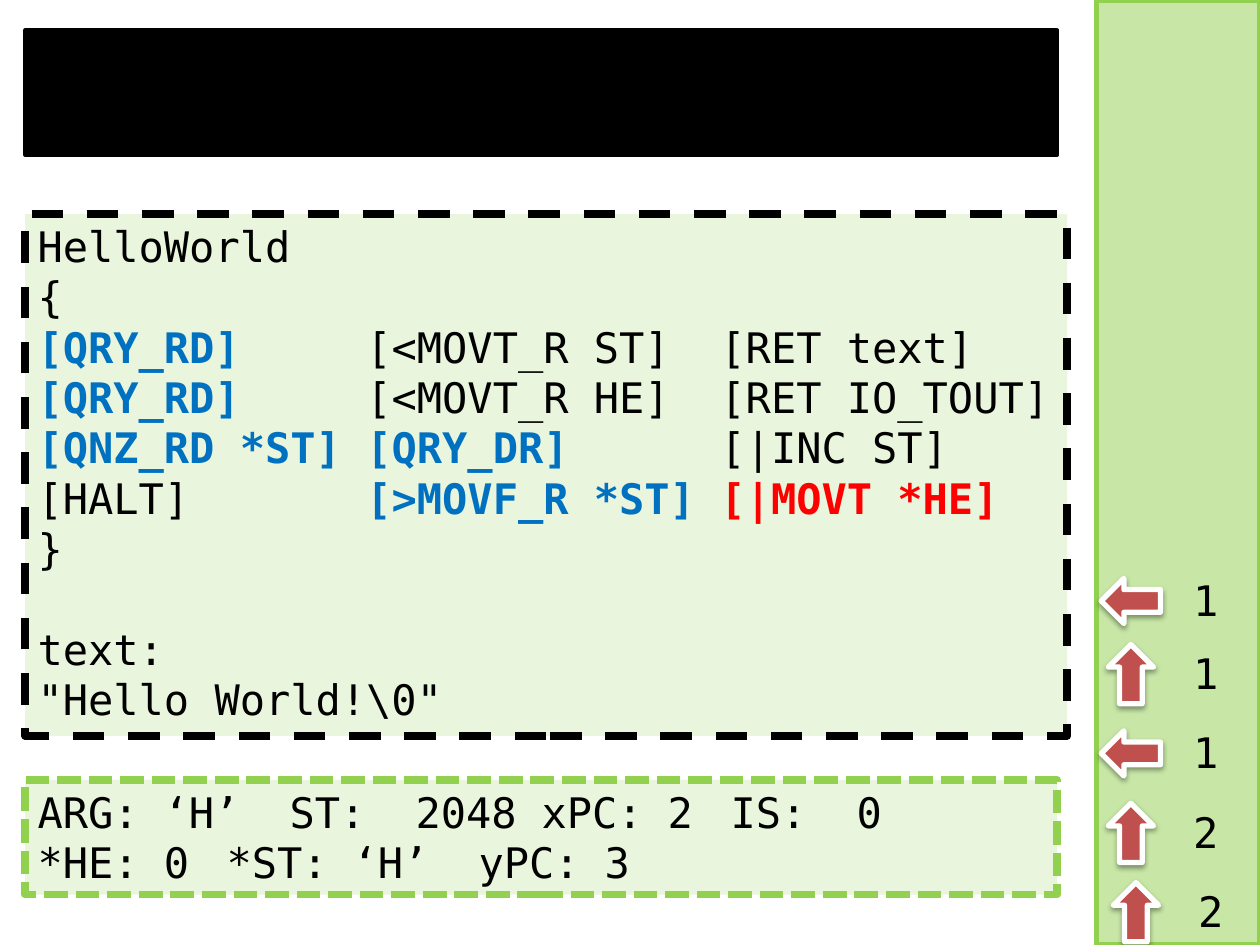
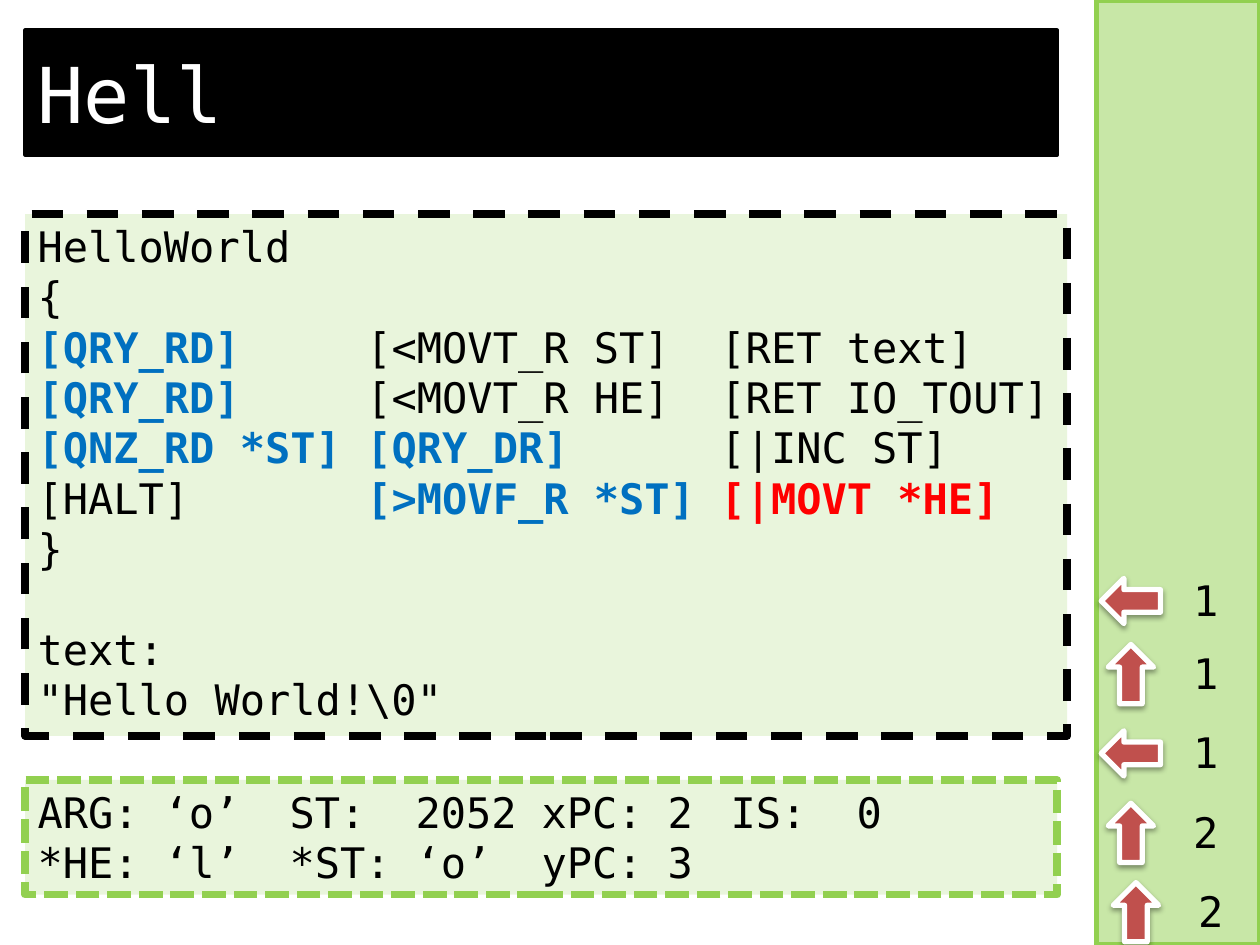
"""Builds two slides tracing a small program: output, code, registers and direction stack."""
from dataclasses import dataclass
from typing import Optional

from lxml import etree
from pptx import Presentation
from pptx.dml.color import RGBColor
from pptx.enum.dml import MSO_LINE
from pptx.enum.shapes import MSO_SHAPE
from pptx.enum.text import MSO_ANCHOR, MSO_AUTO_SIZE, PP_ALIGN
from pptx.oxml.ns import qn
from pptx.util import Inches, Pt

RECT, ARROW = MSO_SHAPE.RECTANGLE, MSO_SHAPE.LEFT_ARROW
DASH, SHORT_DASH = MSO_LINE.DASH, MSO_LINE.SQUARE_DOT
TOP, MIDDLE = MSO_ANCHOR.TOP, MSO_ANCHOR.MIDDLE
GROW, LEFT = MSO_AUTO_SIZE.SHAPE_TO_FIT_TEXT, PP_ALIGN.LEFT


@dataclass(frozen=True)
class Theme:
    """Colours, font and type sizes of the deck."""
    font: str = "DejaVu Sans Mono"
    body: float = 24
    title: float = 44
    line_height: float = 28.8
    black: str = "000000"
    white: str = "FFFFFF"
    green: str = "92D050"
    blue: str = "0070C0"
    red: str = "FF0000"
    arrow: str = "C0504D"


@dataclass(frozen=True)
class Box:
    """A rectangle with its place in inches and its look."""
    left: float
    top: float
    width: float
    height: float
    fill: str
    line: str
    weight: float
    opacity: int = 100
    dash: Optional[MSO_LINE] = None


@dataclass(frozen=True)
class Span:
    """A piece of text in one style."""
    text: str
    color: str = "000000"
    bold: bool = False


@dataclass(frozen=True)
class StackEntry:
    """A direction arrow with its repeat count."""
    left: float
    top: float
    up: bool
    count: str


@dataclass(frozen=True)
class State:
    """What one slide shows: the output so far and the register rows."""
    output: str
    registers: tuple[str, ...]


T = Theme()
OUTPUT = Box(0.2, 0.24, 8.19, 0.99, T.black, T.black, 2)
CODE = Box(0.2, 1.7, 8.27, 4.14, T.green, T.black, 4.5, 20, DASH)
REGISTERS = Box(0.2, 6.19, 8.19, 0.91, T.green, T.green, 4.5, 20, SHORT_DASH)
STACK = Box(8.7, 0, 1.3, 7.5, T.green, T.green, 3, 50)
CODE_TABS = (2.61, 5.42)


def blue(text: str) -> Span:
    """Return an instruction that has been run."""
    return Span(text, T.blue, True)


CODE_LINES = (
    (Span("HelloWorld"),),
    (Span("{"),),
    (blue("[QRY_RD]"), Span("\t[<MOVT_R ST]\t[RET text]")),
    (blue("[QRY_RD]"), Span("\t[<MOVT_R HE]\t[RET IO_TOUT]")),
    (blue("[QNZ_RD *ST]\t[QRY_DR]"), Span("\t[|INC ST]")),
    (Span("[HALT]\t"), blue("[>MOVF_R *ST]\t"), Span("[|MOVT *HE]", T.red, True)),
    (Span("}"),),
    (Span("text:"),),
    (Span('"Hello World!\\0"'),),
)
DATA_LINE = 7

ENTRIES = (
    StackEntry(8.74, 4.51, False, "1"),
    StackEntry(8.74, 5.09, True, "1"),
    StackEntry(8.74, 5.72, False, "1"),
    StackEntry(8.74, 6.35, True, "2"),
    StackEntry(8.78, 6.98, True, "2"),
)

STATES = (
    State("", ("ARG:\t‘H’\tST:\t2048\txPC:\t2\tIS:\t0", "*HE: 0\t*ST:\t‘H’\tyPC:\t3")),
    State("Hell", ("ARG:\t‘o’\tST:\t2052\txPC:\t2\tIS:\t0", "*HE: ‘l’\t*ST:\t‘o’\tyPC:\t3")),
)


def style_shape(s, fill: str, line: str, weight: float) -> None:
    """Give a shape a plain fill and outline without a shadow."""
    s.shadow.inherit = False
    s.fill.solid()
    s.fill.fore_color.rgb = RGBColor.from_string(fill)
    s.line.color.rgb = RGBColor.from_string(line)
    s.line.width = Pt(weight)


def add_box(shapes, box: Box):
    """Draw a box and return its shape."""
    s = shapes.add_shape(RECT, Inches(box.left), Inches(box.top),
                         Inches(box.width), Inches(box.height))
    style_shape(s, box.fill, box.line, box.weight)
    if box.dash is not None:
        s.line.dash_style = box.dash
    if box.opacity < 100:
        color = s._element.spPr.find(qn("a:solidFill")).find(qn("a:srgbClr"))
        etree.SubElement(color, qn("a:alpha"), val=str(box.opacity * 1000))
    return s


def add_run(p, span: Span, size: float) -> None:
    """Add one styled run to a paragraph."""
    r = p.add_run()
    r.text = span.text
    r.font.name = T.font
    r.font.size = Pt(size)
    r.font.bold = span.bold
    r.font.color.rgb = RGBColor.from_string(span.color)


def write_lines(s, lines, size: float = T.body, anchor=TOP, grow: bool = True) -> list:
    """Write lines of spans, one paragraph each, and return the paragraphs."""
    tf = s.text_frame
    tf.word_wrap = True
    tf.vertical_anchor = anchor
    if grow:
        tf.auto_size = GROW
    for i, spans in enumerate(lines):
        p = tf.add_paragraph() if i else tf.paragraphs[0]
        p.alignment = LEFT
        for span in spans:
            add_run(p, span, size)
    return list(tf.paragraphs)


def set_tabs(p, stops: tuple[float, ...]) -> None:
    """Set left tab stops on a paragraph."""
    tabs = etree.SubElement(p._p.get_or_add_pPr(), qn("a:tabLst"))
    for stop in stops:
        etree.SubElement(tabs, qn("a:tab"), pos=str(Inches(stop)), algn="l")


def add_shadow(s) -> None:
    """Add a soft shadow that falls straight down."""
    effects = s._element.spPr.find(qn("a:effectLst"))
    shadow = etree.SubElement(effects, qn("a:outerShdw"), blurRad=str(Pt(3.1)),
                              dist=str(Pt(1.6)), dir="5400000", rotWithShape="0")
    color = etree.SubElement(shadow, qn("a:srgbClr"), val=T.black)
    etree.SubElement(color, qn("a:alpha"), val="38000")


def add_code(shapes) -> None:
    """Draw the program listing."""
    paragraphs = write_lines(add_box(shapes, CODE), CODE_LINES)
    paragraphs[DATA_LINE].space_before = Pt(T.line_height)
    for p in paragraphs:
        if "\t" in p.text:
            set_tabs(p, CODE_TABS)


def add_entry(shapes, entry: StackEntry) -> None:
    """Draw one stack entry as a group of arrow and count."""
    group = shapes.add_group_shape().shapes
    s = group.add_shape(ARROW, Inches(entry.left), Inches(entry.top + 0.08),
                        Inches(0.47), Inches(0.36))
    style_shape(s, T.arrow, T.white, 3)
    add_shadow(s)
    s.rotation = 90 if entry.up else 0
    label = group.add_textbox(Inches(entry.left + 0.63), Inches(entry.top),
                              Inches(0.59), Inches(0.5))
    write_lines(label, [(Span(entry.count),)])


def add_state(prs, state: State) -> None:
    """Add the slide for one program state."""
    shapes = prs.slides.add_slide(prs.slide_layouts[6]).shapes
    add_code(shapes)
    add_box(shapes, STACK)
    write_lines(add_box(shapes, REGISTERS), [(Span(row),) for row in state.registers])
    output = add_box(shapes, OUTPUT)
    if state.output:
        write_lines(output, [(Span(state.output, T.white),)], T.title, MIDDLE, False)
    for entry in reversed(ENTRIES):
        add_entry(shapes, entry)


def main() -> None:
    """Build and save the deck."""
    prs = Presentation()
    prs.slide_width, prs.slide_height = Inches(10), Inches(7.5)
    for state in STATES:
        add_state(prs, state)
    prs.save("out.pptx")


main()
